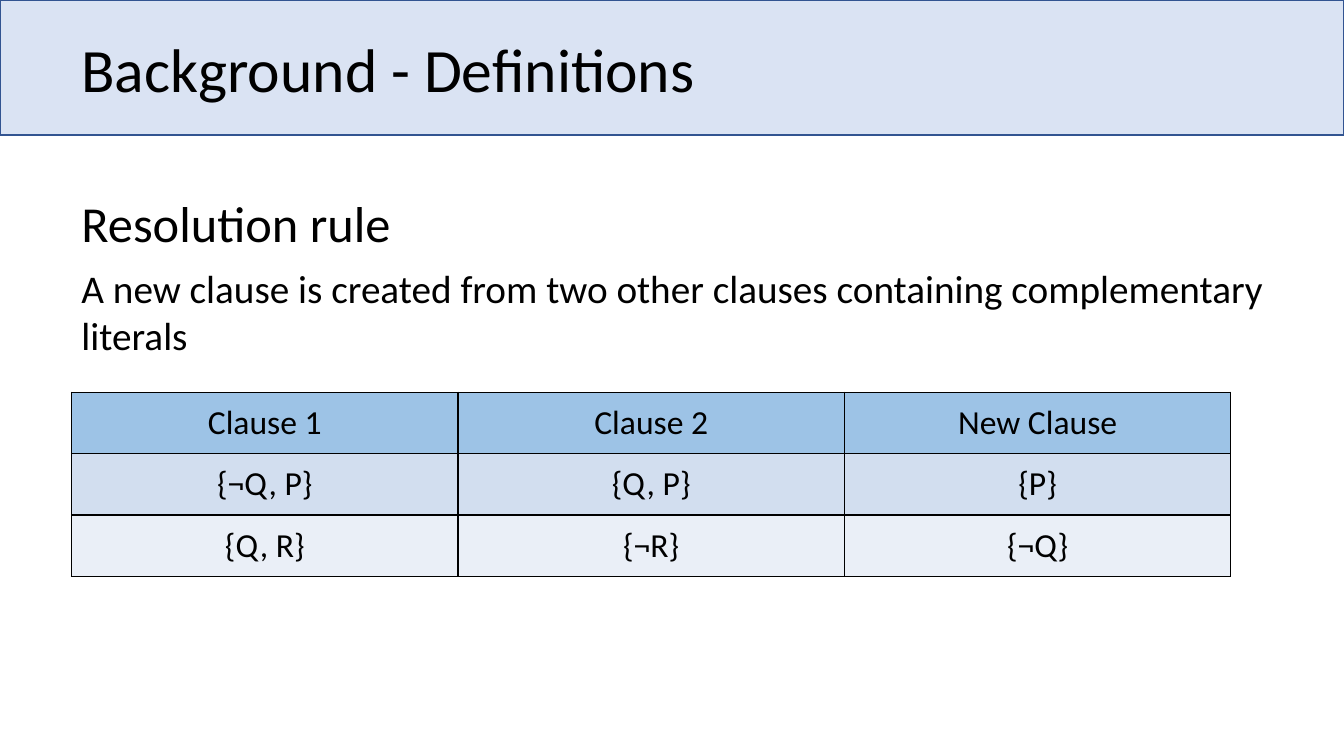
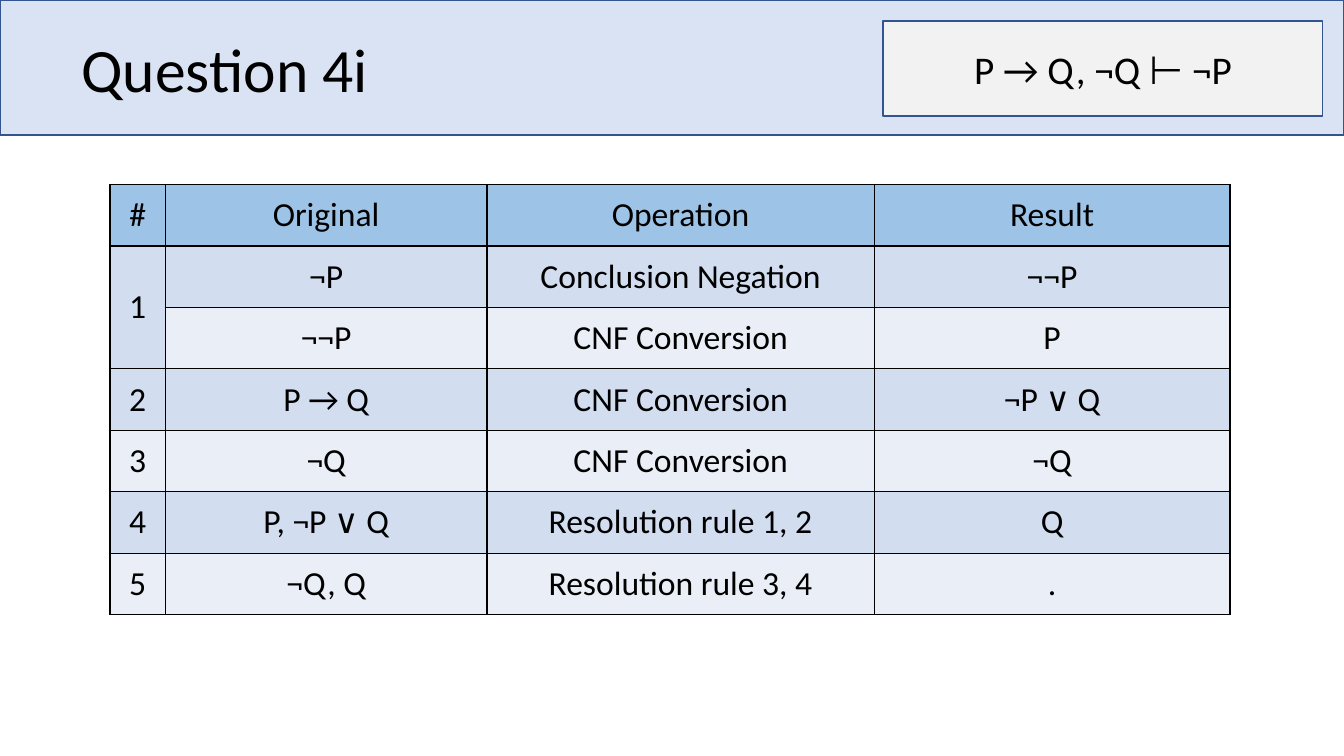
from dataclasses import dataclass
from typing import Optional

import lxml.etree
import pptx
import pptx.dml.color
import pptx.enum.shapes
import pptx.enum.text
import pptx.oxml.ns
import pptx.presentation
import pptx.slide
import pptx.table
import pptx.text.text
import pptx.util

RGBColor = pptx.dml.color.RGBColor
BLACK = RGBColor(0x00, 0x00, 0x00)
BAND_BLUE = RGBColor(0xDA, 0xE3, 0xF3)
OUTLINE_BLUE = RGBColor(0x32, 0x54, 0x91)
FORMULA_GREY = RGBColor(0xF2, 0xF2, 0xF2)
HEADER_BLUE = RGBColor(0x9D, 0xC3, 0xE6)
ROW_BLUES = (RGBColor(0xD2, 0xDE, 0xEF), RGBColor(0xEA, 0xEF, 0xF7))

FONT = "Calibri"
SLIDE_WIDTH = pptx.util.Inches(13.33)
SLIDE_HEIGHT = pptx.util.Inches(7.5)
GRID_COLUMNS = 133.3
GRID_ROWS = 75
MARGIN = 7.1
TABLE_ROW = 6.1
LINE_WIDTH = pptx.util.Pt(1)

LEFT = pptx.enum.text.PP_ALIGN.LEFT
CENTER = pptx.enum.text.PP_ALIGN.CENTER
TOP = pptx.enum.text.MSO_ANCHOR.TOP
MIDDLE = pptx.enum.text.MSO_ANCHOR.MIDDLE


@dataclass(frozen=True)
class Area:
    column: float
    row: float
    columns: float
    rows: float

    def lengths(self) -> tuple[int, int, int, int]:
        return (
            across(self.column),
            down(self.row),
            across(self.columns),
            down(self.rows),
        )


@dataclass(frozen=True)
class Text:
    words: str
    size: float
    area: Area
    anchor: pptx.enum.text.MSO_ANCHOR = TOP
    line_spacing: Optional[float] = None


@dataclass(frozen=True)
class Grid:
    column: float
    row: float
    widths: tuple[float, ...]
    rows: tuple[tuple[str, ...], ...]
    merged: tuple[tuple[int, int, int, int], ...] = ()


BAND = Area(0, 0, GRID_COLUMNS, 13.4)
TITLE = Area(MARGIN, -0.1, 115, 14.5)
FORMULA = Area(87.6, 2.1, 43.6, 9.4)

RULE_TEXTS = (
    Text("Resolution rule", 36, Area(MARGIN, 18.6, 119.2, 7.1)),
    Text(
        "A new clause is created from two other clauses containing complementary literals",
        28,
        Area(MARGIN, 25.7, 119.2, 10.4),
    ),
)
RULE_EXAMPLES = Grid(
    MARGIN,
    38.9,
    (38.33,) * 3,
    (
        ("Clause 1", "Clause 2", "New Clause"),
        ("{¬Q, P}", "{Q, P}", "{P}"),
        ("{Q, R}", "{¬R}", "{¬Q}"),
    ),
)
PROOF = Grid(
    10.9,
    18.3,
    (5.5, 31.9, 38.4, 35.3),
    (
        ("#", "Original", "Operation", "Result"),
        ("1", "¬P", "Conclusion Negation", "¬¬P"),
        ("", "¬¬P", "CNF Conversion", "P"),
        ("2", "P → Q", "CNF Conversion", "¬P ∨ Q"),
        ("3", "¬Q", "CNF Conversion", "¬Q"),
        ("4", "P, ¬P ∨ Q", "Resolution rule 1, 2", "Q"),
        ("5", "¬Q, Q", "Resolution rule 3, 4", "."),
    ),
    merged=((1, 0, 2, 0),),
)


def across(columns: float) -> int:
    return round(SLIDE_WIDTH * columns / GRID_COLUMNS)


def down(rows: float) -> int:
    return round(SLIDE_HEIGHT * rows / GRID_ROWS)


def write(
    frame: pptx.text.text.TextFrame,
    words: str,
    size: float,
    align: pptx.enum.text.PP_ALIGN = LEFT,
) -> None:
    frame.text = words
    paragraph = frame.paragraphs[0]
    paragraph.alignment = align
    paragraph.font.name = FONT
    paragraph.font.size = pptx.util.Pt(size)
    paragraph.font.color.rgb = BLACK


def add_text(slide: pptx.slide.Slide, text: Text) -> None:
    frame = slide.shapes.add_textbox(*text.area.lengths()).text_frame
    frame.word_wrap = True
    frame.vertical_anchor = text.anchor
    write(frame, text.words, text.size)
    if text.line_spacing:
        frame.paragraphs[0].line_spacing = text.line_spacing


def add_panel(
    slide: pptx.slide.Slide, area: Area, fill: RGBColor, words: str = ""
) -> None:
    panel = slide.shapes.add_shape(
        pptx.enum.shapes.MSO_SHAPE.RECTANGLE, *area.lengths()
    )
    panel.shadow.inherit = False
    panel.fill.solid()
    panel.fill.fore_color.rgb = fill
    panel.line.color.rgb = OUTLINE_BLUE
    panel.line.width = LINE_WIDTH
    if words:
        panel.text_frame.vertical_anchor = MIDDLE
        write(panel.text_frame, words, 28, CENTER)


def add_borders(cell: pptx.table._Cell) -> None:
    qn = pptx.oxml.ns.qn
    properties = cell._tc.get_or_add_tcPr()
    for side in ("a:lnL", "a:lnR", "a:lnT", "a:lnB"):
        border = lxml.etree.SubElement(properties, qn(side), w=str(LINE_WIDTH))
        fill = lxml.etree.SubElement(border, qn("a:solidFill"))
        lxml.etree.SubElement(fill, qn("a:srgbClr"), val=str(BLACK))


def add_grid(slide: pptx.slide.Slide, grid: Grid) -> None:
    row_count = len(grid.rows)
    area = Area(grid.column, grid.row, sum(grid.widths), row_count * TABLE_ROW)
    table = slide.shapes.add_table(
        row_count, len(grid.widths), *area.lengths()
    ).table
    for column, width in zip(table.columns, grid.widths):
        column.width = across(width)
    for index, entries in enumerate(grid.rows):
        table.rows[index].height = down(TABLE_ROW)
        color = ROW_BLUES[(index - 1) % 2] if index else HEADER_BLUE
        for cell, words in zip(table.rows[index].cells, entries):
            add_borders(cell)
            cell.fill.solid()
            cell.fill.fore_color.rgb = color
            cell.vertical_anchor = MIDDLE
            write(cell.text_frame, words, 24, CENTER)
    for top, left, bottom, right in grid.merged:
        table.cell(top, left).merge(table.cell(bottom, right))


def add_titled_slide(
    deck: pptx.presentation.Presentation, title: str
) -> pptx.slide.Slide:
    slide = deck.slides.add_slide(deck.slide_layouts[6])
    add_panel(slide, BAND, BAND_BLUE)
    add_text(slide, Text(title, 44, TITLE, MIDDLE, 0.9))
    return slide


def main() -> None:
    deck = pptx.Presentation()
    deck.slide_width = SLIDE_WIDTH
    deck.slide_height = SLIDE_HEIGHT

    definitions = add_titled_slide(deck, "Background - Definitions")
    for text in RULE_TEXTS:
        add_text(definitions, text)
    add_grid(definitions, RULE_EXAMPLES)

    question = add_titled_slide(deck, "Question 4i")
    add_panel(question, FORMULA, FORMULA_GREY, "P → Q, ¬Q ⊢ ¬P")
    add_grid(question, PROOF)

    deck.save("out.pptx")


if __name__ == "__main__":
    main()
